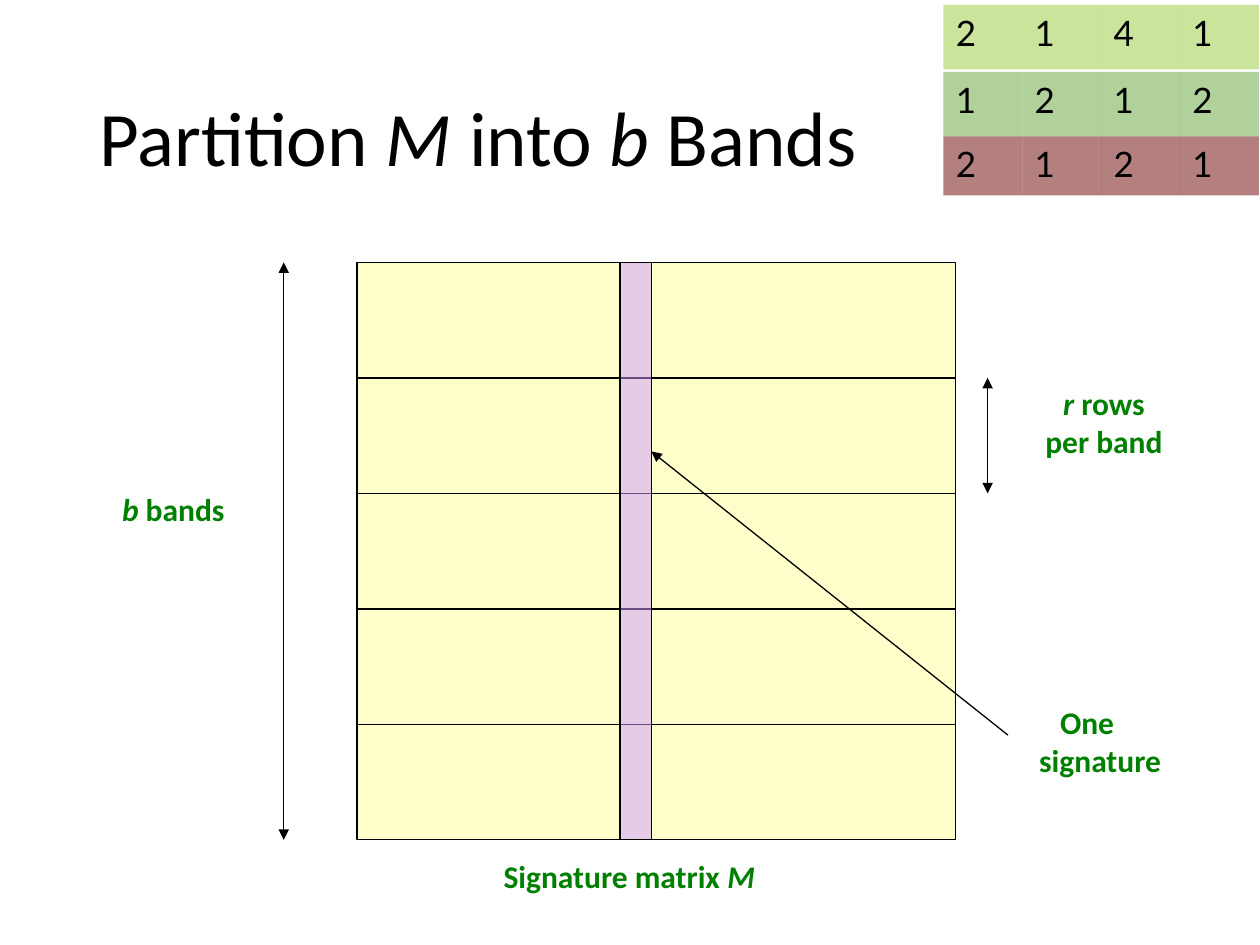
from pptx import Presentation
from pptx import util as u
from pptx.dml.color import RGBColor
from pptx.enum import shapes, text
from pptx.oxml.ns import qn
from lxml import etree

Cm, Pt = u.Cm, u.Pt
rgb = RGBColor.from_string
ALIGN, ANCHOR = text.PP_ALIGN, text.MSO_ANCHOR

deck = Presentation()
deck.slide_width, deck.slide_height = Cm(25.4), Cm(19.05)
slide = deck.slides.add_slide(deck.slide_layouts[5])


def block(group, left, top, width, height, fill, clear=True, edge=False):
    """Add a rectangle, half transparent if clear, outlined if edge."""
    box = group.shapes.add_shape(shapes.MSO_SHAPE.RECTANGLE, Cm(left), Cm(top), Cm(width), Cm(height))
    box.shadow.inherit = False
    box.fill.solid()
    box.fill.fore_color.rgb = rgb(fill)
    if clear:
        tint = box.fill._xPr.find(qn("a:solidFill"))[0]
        etree.SubElement(tint, qn("a:alpha")).set("val", "50000")
    if edge:
        box.line.color.rgb = rgb("000000")
        box.line.width = Pt(0.75)
    else:
        box.line.fill.background()
    return box


def stroke(x1, y1, x2, y2, ends=()):
    """Add a thin black line; ends holds headEnd and/or tailEnd."""
    link = slide.shapes.add_connector(shapes.MSO_CONNECTOR.STRAIGHT, Cm(x1), Cm(y1), Cm(x2), Cm(y2))
    link.line.color.rgb = rgb("000000")
    link.line.width = Pt(0.75)
    for end in ends:
        etree.SubElement(link.line._get_or_add_ln(), qn("a:" + end)).set("type", "triangle")
    etree.SubElement(link._element.spPr, qn("a:effectLst"))


# Title, with the symbols in italics
title = slide.shapes.title
for name, val in {"left": 1.75, "top": 1.02, "width": 21.9, "height": 3.68}.items():
    setattr(title, name, Cm(val))
frame = title.text_frame
frame.auto_size = text.MSO_AUTO_SIZE.NONE
frame.vertical_anchor = ANCHOR.MIDDLE
para = frame.paragraphs[0]
para.alignment = ALIGN.LEFT
para.line_spacing = 0.9
for part in ("Partition ", "M", " into ", "b", " Bands"):
    run = para.add_run()
    run.text = part
    look = {"name": "Calibri", "size": Pt(44), "italic": part in ("M", "b")}
    for name, val in look.items():
        setattr(run.font, name, val)
    run.font.color.rgb = rgb("000000")

# Signature matrix cut into equal bands, with one column marked
left, top, width, height = 7.2, 5.29, 12.06, 11.64
right, low = left + width, top + height
bands = 5
band = height / bands
block(slide, left, top, width, height, "FFFF99", edge=True)
for i in range(1, bands):
    stroke(left, top + i * band, right, top + i * band)
both = ("headEnd", "tailEnd")
stroke(19.91, top + band, 19.91, top + 2 * band, both)
stroke(5.72, top, 5.72, low, both)
block(slide, 12.5, top, 0.64, height, "CC99FF", edge=True)
stroke(20.32, 14.82, 13.13, 9.1, ["tailEnd"])

# Labels: place, alignment, then lines of (text, italic) runs
labels = [
    ((9.7, 17.15, 5.97, 1.02), ALIGN.CENTER, [[("Signature matrix ", False), ("M", True)]]),
    ((20.78, 7.62, 2.95, 1.8), ALIGN.CENTER, [[("r", True), (" rows", False)], [("per band", False)]]),
    ((2.11, 9.75, 2.77, 1.02), ALIGN.CENTER, [[("b", True), (" bands", False)]]),
    ((20.7, 14.05, 3.1, 1.78), ALIGN.LEFT, [[("One", False)], [("signature", False)]]),
]
for place, align, lines in labels:
    frame = slide.shapes.add_textbox(*map(Cm, place)).text_frame
    frame.word_wrap = False
    frame.auto_size = text.MSO_AUTO_SIZE.SHAPE_TO_FIT_TEXT
    for i, line in enumerate(lines):
        para = frame.add_paragraph() if i else frame.paragraphs[0]
        para.alignment = align
        if line[0][0] == "One":
            para._p.get_or_add_pPr().set("marL", str(Cm(0.42)))
        for part, slant in line:
            run = para.add_run()
            run.text = part
            look = {"name": "Calibri", "size": Pt(18), "bold": True, "italic": slant}
            for name, val in look.items():
                setattr(run.font, name, val)
            run.font.color.rgb = rgb("008000")

# Sample matrix on a white panel, one tinted row per band
block(slide, 18.85, 0, 6.55, 4.01, "FFFFFF", clear=False)
grid = slide.shapes.add_group_shape()
rows = [
    (0.1, 1.3, "99CB38", "2141"),
    (1.45, 1.3, "63A537", "1212"),
    (2.75, 1.19, "680000", "2121"),
]
step = 1.59
for y, tall, fill, digits in rows:
    for col, digit in enumerate(digits):
        frame = block(grid, 19.02 + col * step, y, step, tall, fill).text_frame
        frame.vertical_anchor = ANCHOR.TOP
        para = frame.paragraphs[0]
        para.alignment = ALIGN.LEFT
        run = para.add_run()
        run.text = digit
        run.font.name, run.font.size = "Lato", Pt(20)
        run.font.color.rgb = rgb("000000")

deck.save("out.pptx")
